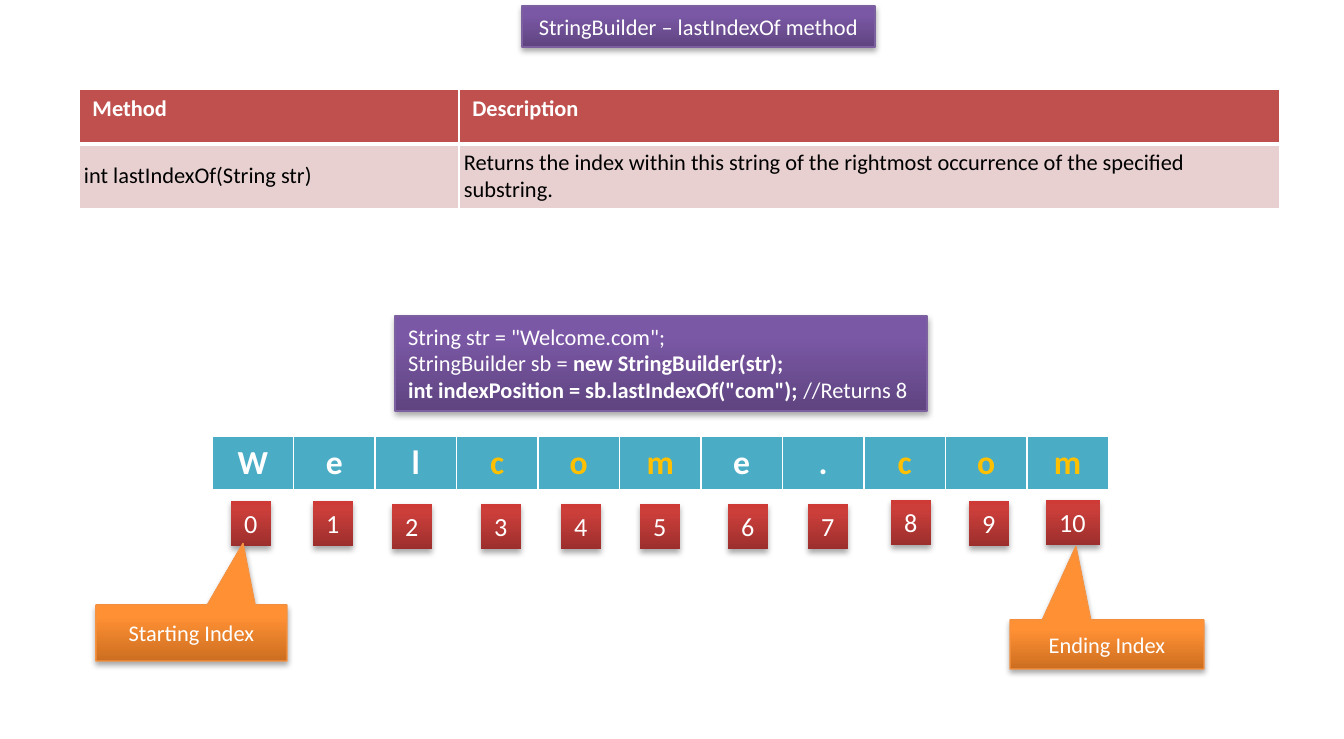
from lxml.etree import fromstring
from pptx import Presentation
from pptx.dml.color import RGBColor
from pptx.enum.shapes import MSO_SHAPE
from pptx.enum.text import MSO_ANCHOR, MSO_AUTO_SIZE, PP_ALIGN
from pptx.util import Pt

PX = 914400 / 134.4
NS = 'xmlns:a="http://schemas.openxmlformats.org/drawingml/2006/main"'
FONT = "Calibri"
WHITE, BLACK, GOLD = "FFFFFF", "000000", "FFC000"
HEAD, BODY, TEAL = "C0504D", "E8D0D0", "4BACC6"

# Gradient stops from bottom to top, then the outline
PURPLE = ("5F4480", "7B58A6", "7C57A8"), "7D60A0"
RED = ("9C2F2D", "CB3E3A", "CE3B37"), None
ORANGE = ("CC6E20", "FF9034", "FF9136"), "F69240"

# Content
TITLE = "StringBuilder – lastIndexOf method"
METHOD = [
    ("Method", "Description"),
    ("int lastIndexOf(String str)",
     "Returns the index within this string of the rightmost occurrence "
     "of the specified substring."),
]
CODE = [
    [('String str = "Welcome.com";', False)],
    [("StringBuilder sb = ", False), ("new StringBuilder(str);", True)],
    [('int indexPosition = sb.lastIndexOf("com");', True),
     (" //Returns 8", False)],
]
WORD = "Welcome.com"
MATCH = "com"
# Left and top of each index box
SPOTS = [(231, 501), (313, 501), (392, 504), (481, 504), (561, 504),
         (640, 504), (728, 504), (808, 504), (891, 500), (969, 501),
         (1046, 500)]
NOTES = [
    ("Starting Index", (96, 605, 191, 56), (0.27, -1.6)),
    ("Ending Index", (1010, 620, 194, 49), (-0.16, -2)),
]


def px(n):
    return round(n * PX)


def color(code):
    return RGBColor.from_string(code)


def style(par, size, tint=WHITE, bold=False):
    for run in par.runs:
        font = run.font
        font.name, font.size, font.bold = FONT, Pt(size), bold
        font.color.rgb = color(tint)


def paint(shape, look):
    """Gradient fill, outline and soft shadow."""
    stops, edge = look
    marks = "".join(
        f'<a:gs pos="{pos}"><a:srgbClr val="{tint}"/></a:gs>'
        for pos, tint in zip((0, 80000, 100000), stops))
    line = (f'<a:solidFill><a:srgbClr val="{edge}"/></a:solidFill>'
            if edge else "<a:noFill/>")
    parts = fromstring(
        f'<a:x {NS}><a:gradFill rotWithShape="1"><a:gsLst>{marks}</a:gsLst>'
        f'<a:lin ang="16200000" scaled="0"/></a:gradFill>'
        f'<a:ln w="9525">{line}</a:ln>'
        f'<a:effectLst><a:outerShdw blurRad="40000" dist="23000" '
        f'dir="5400000" rotWithShape="0"><a:srgbClr val="000000">'
        f'<a:alpha val="35000"/></a:srgbClr></a:outerShdw></a:effectLst></a:x>')
    for part in list(parts):
        shape.element.spPr.append(part)


def add_box(kind, place, look):
    shape = slide.shapes.add_shape(kind, *map(px, place))
    paint(shape, look)
    return shape


def fit(frame):
    frame.word_wrap = False
    frame.auto_size = MSO_AUTO_SIZE.SHAPE_TO_FIT_TEXT
    frame.vertical_anchor = MSO_ANCHOR.TOP


def border(cell, top=1, bottom=1):
    props = cell._tc.get_or_add_tcPr()
    for spot, (side, wide) in enumerate(
            (("L", 1), ("R", 1), ("T", top), ("B", bottom))):
        props.insert(spot, fromstring(
            f'<a:ln{side} {NS} w="{Pt(wide)}"><a:solidFill>'
            f'<a:srgbClr val="{WHITE}"/></a:solidFill></a:ln{side}>'))


def add_grid(left, top, cols, rows):
    frame = slide.shapes.add_table(
        len(rows), len(cols), px(left), px(top), px(sum(cols)), px(sum(rows)))
    for col, wide in zip(frame.table.columns, cols):
        col.width = px(wide)
    for row, high in zip(frame.table.rows, rows):
        row.height = px(high)
    return frame.table


def set_cell(cell, text, fill, size, tint, bold):
    cell.text = text
    cell.fill.solid()
    cell.fill.fore_color.rgb = color(fill)
    par = cell.text_frame.paragraphs[0]
    style(par, size, tint, bold)
    return par


deck = Presentation()
deck.slide_width, deck.slide_height = px(1344), px(739)
slide = deck.slides.add_slide(deck.slide_layouts[5])

# Title, kept at a fixed height
title = slide.shapes.title
title.left, title.top, title.width, title.height = map(px, (522, 6, 353, 41))
paint(title, PURPLE)
frame = title.text_frame
frame.text = TITLE
frame.word_wrap = True
frame.auto_size = MSO_AUTO_SIZE.NONE
frame.vertical_anchor = MSO_ANCHOR.MIDDLE
par = frame.paragraphs[0]
par.alignment = PP_ALIGN.CENTER
style(par, 12)

# Method table
grid = add_grid(79, 89, (380, 821), (55, 64))
for r, row in enumerate(METHOD):
    for c, text in enumerate(row):
        cell = grid.cell(r, c)
        if r == 0:
            set_cell(cell, text, HEAD, 12, WHITE, True)
            border(cell, bottom=3)
        else:
            set_cell(cell, text, BODY, 12, BLACK, False)
            border(cell, top=3)
            cell.vertical_anchor = MSO_ANCHOR.MIDDLE
            cell.margin_left = cell.margin_right = px(5)
            cell.margin_top = cell.margin_bottom = px(5)

# Letters, with each match in gold
grid = add_grid(212, 436, [81.5] * len(WORD), [55])
for i, char in enumerate(WORD):
    hit = any(WORD.startswith(MATCH, i - k)
              for k in range(len(MATCH)) if i >= k)
    cell = grid.cell(0, i)
    par = set_cell(cell, char, TEAL, 18, GOLD if hit else WHITE, True)
    par.alignment = PP_ALIGN.CENTER
    border(cell, bottom=3)

# Index boxes
for i, (left, top) in enumerate(SPOTS):
    wide = 40 if i < 10 else 54
    box = add_box(MSO_SHAPE.RECTANGLE, (left, top, wide, 45), RED)
    box.text_frame.text = str(i)
    fit(box.text_frame)
    par = box.text_frame.paragraphs[0]
    par.alignment = PP_ALIGN.LEFT
    style(par, 14)

# Callouts
for text, place, tip in NOTES:
    note = add_box(MSO_SHAPE.RECTANGULAR_CALLOUT, place, ORANGE)
    note.adjustments[0], note.adjustments[1] = tip
    note.text_frame.text = text
    note.text_frame.vertical_anchor = MSO_ANCHOR.MIDDLE
    par = note.text_frame.paragraphs[0]
    par.alignment = PP_ALIGN.CENTER
    style(par, 12)

# Code
frame = add_box(MSO_SHAPE.RECTANGLE, (395, 316, 532, 95), PURPLE).text_frame
fit(frame)
for i, line in enumerate(CODE):
    par = frame.add_paragraph() if i else frame.paragraphs[0]
    par.alignment = PP_ALIGN.LEFT
    for text, _ in line:
        par.add_run().text = text
    style(par, 12)
    for run, (_, bold) in zip(par.runs, line):
        run.font.bold = bold

deck.save("out.pptx")
